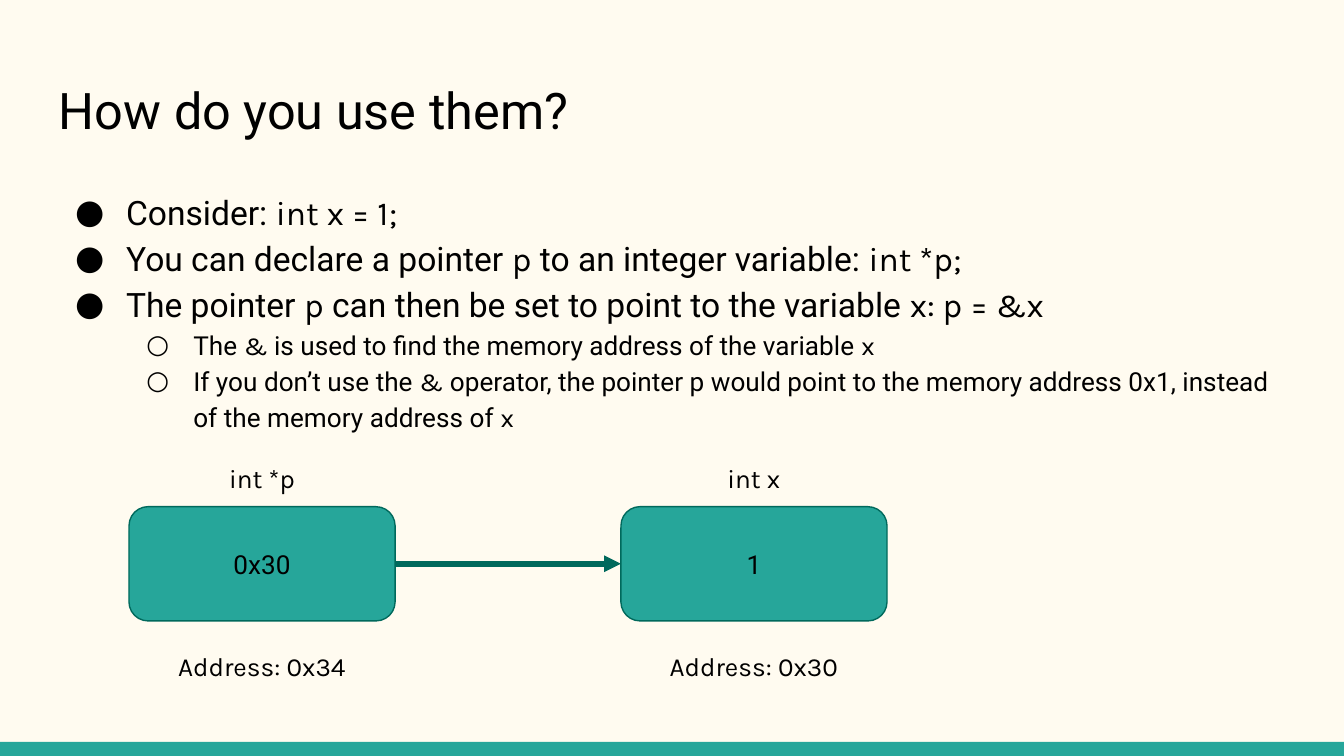
import pptx
import pptx.util
import pptx.dml.color
import pptx.enum.shapes
import pptx.enum.text
import pptx.oxml.ns
from lxml import etree

Inches = pptx.util.Inches
Pt = pptx.util.Pt
ALIGN = pptx.enum.text.PP_ALIGN
ANCHOR = pptx.enum.text.MSO_ANCHOR
SHAPES = pptx.enum.shapes.MSO_SHAPE
qn = pptx.oxml.ns.qn

# Content: each bullet is (level, runs), each run is (text, font)
COLORS = {"back": "FFFBF0", "teal": "26A69A", "edge": "00695C", "text": "000000"}
PROSE, CODE = "Roboto", "Karla"
TITLE = "How do you use them?"
BULLETS = [
    (0, [("Consider: ", PROSE), ("int x = 1;", CODE)]),
    (0, [("You can declare a pointer ", PROSE), ("p", CODE),
         (" to an integer variable: ", PROSE), ("int *p;", CODE)]),
    (0, [("The pointer ", PROSE), ("p", CODE),
         (" can then be set to point to the variable ", PROSE), ("x: p = &x", CODE)]),
    (1, [("The ", PROSE), ("& ", CODE),
         ("is used to find the memory address of the variable ", PROSE), ("x", CODE)]),
    (1, [("If you don’t use the ", PROSE), ("&", CODE),
         (" operator, the pointer p would point to the memory address 0x1, "
          "instead of the memory address of ", PROSE), ("x", CODE)]),
]
# Level: (text size, left margin, hanging indent, bullet)
LEVELS = [(18, 0.5, 0.38, "●"), (14, 1.0, 0.35, "○")]
# Variable: (name, value, address, left edge)
VARIABLES = [("int *p", "0x30", "Address: 0x34", 0.96),
             ("int x", "1", "Address: 0x30", 4.62)]
CELL_TOP, CELL_WIDTH, CELL_HEIGHT = 3.77, 1.98, 0.85
LABEL_WIDTH, LABEL_HEIGHT, NAME_TOP, ADDRESS_TOP = 1.63, 0.44, 3.34, 4.74


def color(name):
    return pptx.dml.color.RGBColor.from_string(COLORS[name])


def add_run(para, text, font, size):
    span = para.add_run()
    span.text = text
    span.font.name = font
    span.font.size = Pt(size)
    span.font.color.rgb = color("text")


def prepare_frame(box, anchor=ANCHOR.TOP):
    frame = box.text_frame
    frame.word_wrap = True
    frame.vertical_anchor = anchor
    frame.margin_left = frame.margin_right = Inches(0.1)
    frame.margin_top = frame.margin_bottom = Inches(0.1)
    return frame


def add_box(page, left, top, width, height):
    box = page.shapes.add_textbox(Inches(left), Inches(top), Inches(width), Inches(height))
    return prepare_frame(box)


def add_block(page, kind, left, top, width, height):
    block = page.shapes.add_shape(kind, Inches(left), Inches(top), Inches(width), Inches(height))
    block.shadow.inherit = False
    block.fill.solid()
    block.fill.fore_color.rgb = color("teal")
    return block


def add_centred(frame, text, font):
    para = frame.paragraphs[0]
    para.alignment = ALIGN.CENTER
    add_run(para, text, font, 14)


def format_bullet(para, level):
    _, margin, hanging, mark = LEVELS[level]
    para.level = level
    para.line_spacing = 1.15
    props = para._p.get_or_add_pPr()
    props.set("marL", str(Inches(margin)))
    props.set("indent", str(-Inches(hanging)))
    tint = etree.SubElement(props, qn("a:buClr"))
    etree.SubElement(tint, qn("a:srgbClr"), val=COLORS["text"])
    etree.SubElement(props, qn("a:buFont"), typeface=PROSE)
    etree.SubElement(props, qn("a:buChar"), char=mark)


def add_arrow(page, start, end, height):
    arrow = page.shapes.add_connector(
        pptx.enum.shapes.MSO_CONNECTOR.STRAIGHT,
        Inches(start), Inches(height), Inches(end), Inches(height))
    arrow.line.color.rgb = color("edge")
    arrow.line.width = Pt(3)
    etree.SubElement(arrow.line._get_or_add_ln(), qn("a:tailEnd"), type="triangle")
    etree.SubElement(arrow._element.spPr, qn("a:effectLst"))


def main():
    deck = pptx.Presentation()
    deck.slide_width, deck.slide_height = Inches(10), Inches(5.625)
    page = deck.slides.add_slide(deck.slide_layouts[6])
    page.background.fill.solid()
    page.background.fill.fore_color.rgb = color("back")

    # Bottom band
    band = add_block(page, SHAPES.RECTANGLE, 0, 5.52, 10, 0.11)
    band.line.fill.background()

    # Title and bullets
    title = add_box(page, 0.34, 0.49, 9.32, 0.67)
    add_run(title.paragraphs[0], TITLE, PROSE, 27)
    body = add_box(page, 0.34, 1.28, 9.32, 3.72)
    for index, (level, runs) in enumerate(BULLETS):
        para = body.add_paragraph() if index else body.paragraphs[0]
        format_bullet(para, level)
        for text, font in runs:
            add_run(para, text, font, LEVELS[level][0])

    # Memory cells with their name above and address below
    for name, value, address, left in VARIABLES:
        cell = add_block(page, SHAPES.ROUNDED_RECTANGLE, left, CELL_TOP, CELL_WIDTH, CELL_HEIGHT)
        cell.adjustments[0] = 0.167
        cell.line.color.rgb = color("edge")
        cell.line.width = Pt(0.75)
        add_centred(prepare_frame(cell, ANCHOR.MIDDLE), value, PROSE)
        label_left = left + (CELL_WIDTH - LABEL_WIDTH) / 2
        for text, top in ((name, NAME_TOP), (address, ADDRESS_TOP)):
            label = add_box(page, label_left, top, LABEL_WIDTH, LABEL_HEIGHT)
            label.auto_size = pptx.enum.text.MSO_AUTO_SIZE.SHAPE_TO_FIT_TEXT
            add_centred(label, text, CODE)

    # Arrow from the pointer to its target
    pointer_left, target_left = (variable[3] for variable in VARIABLES)
    add_arrow(page, pointer_left + CELL_WIDTH, target_left, CELL_TOP + CELL_HEIGHT / 2)

    deck.save("out.pptx")


if __name__ == "__main__":
    main()
